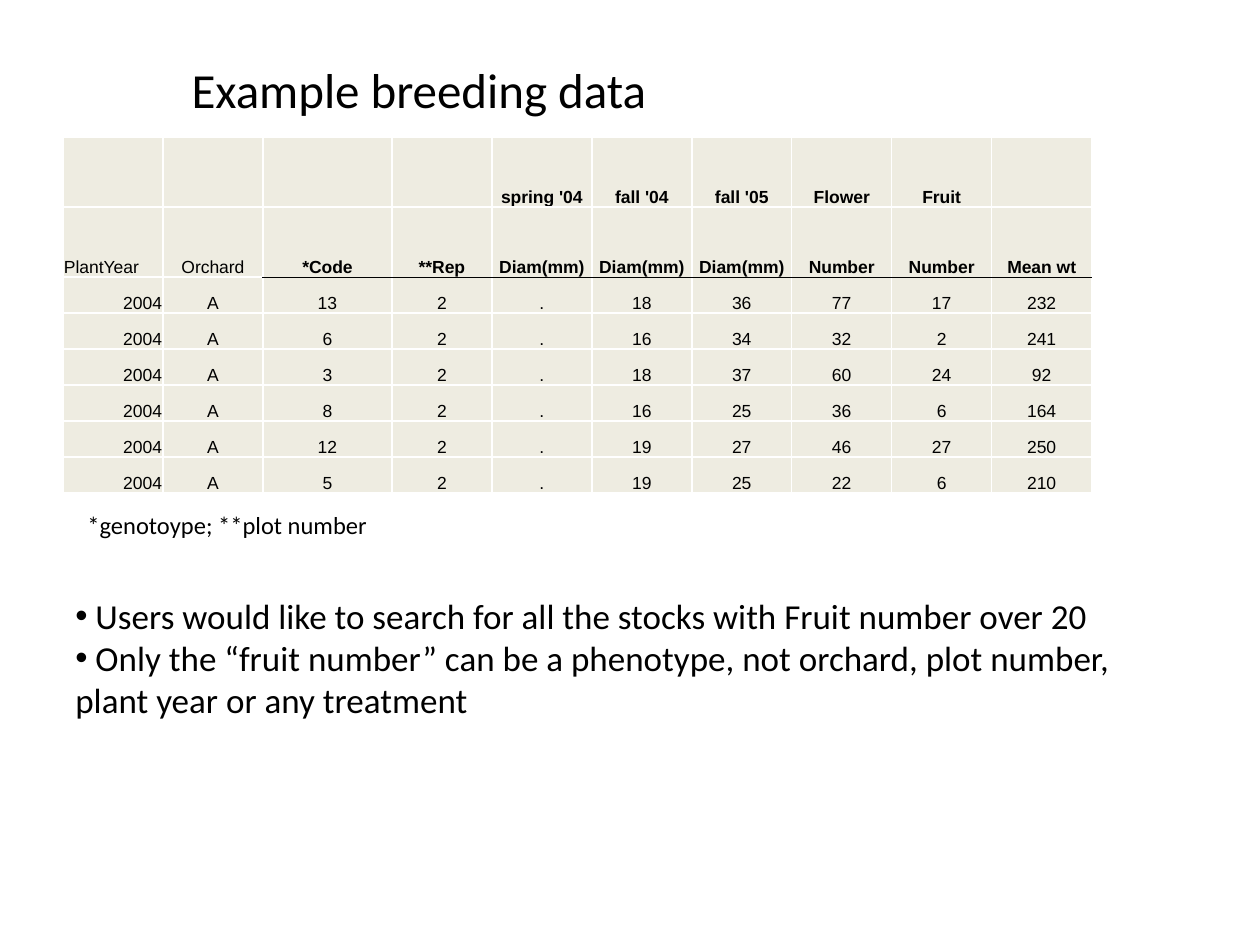
import pptx
import pptx.util
import pptx.dml.color
import pptx.enum.text
import pptx.oxml
import lxml.etree

SCALE = 914400 / 126
ALIGN = pptx.enum.text.PP_ALIGN
ANCHOR = pptx.enum.text.MSO_ANCHOR
BLACK = "000000"
SAND = "EEECE1"

HEADS = [
    ["", "", "", "", "spring '04", "fall '04", "fall '05", "Flower", "Fruit", ""],
    ["PlantYear", "Orchard", "*Code", "**Rep", "Diam(mm)", "Diam(mm)",
     "Diam(mm)", "Number", "Number", "Mean wt"],
]
PLANTS = [
    (13, 18, 36, 77, 17, 232),
    (6, 16, 34, 32, 2, 241),
    (3, 18, 37, 60, 24, 92),
    (8, 16, 25, 36, 6, 164),
    (12, 19, 27, 46, 27, 250),
    (5, 19, 25, 22, 6, 210),
]
POINTS = [
    " Users would like to search for all the stocks with Fruit number over 20",
    " Only the “fruit number” can be a phenotype, not orchard, plot number, "
    "plant year or any treatment",
]


def px(count):
    return round(count * SCALE)


def color(code):
    return pptx.dml.color.RGBColor.from_string(code)


def style(para, face, size, bold=False, align=ALIGN.LEFT):
    para.alignment = align
    para.font.name = face
    para.font.size = pptx.util.Pt(size)
    para.font.bold = bold
    para.font.color.rgb = color(BLACK)


def add_rule(cell, side):
    props = cell._tc.get_or_add_tcPr()
    line = pptx.oxml.parse_xml(
        f'<a:{side} xmlns:a="http://schemas.openxmlformats.org/drawingml/2006/main" '
        f'w="6350"><a:solidFill><a:srgbClr val="{BLACK}"/></a:solidFill></a:{side}>')
    props.insert(0, line)


def add_title(slide, left, top, width, height):
    title = slide.shapes.title
    title.left, title.top = px(left), px(top)
    title.width, title.height = px(width), px(height)
    frame = title.text_frame
    frame.text = "Example breeding data"
    frame.word_wrap = False
    frame.vertical_anchor = ANCHOR.TOP
    style(frame.paragraphs[0], "Calibri", 28)


def fill_cell(cell, text, bold, align):
    cell.text = text
    cell.fill.solid()
    cell.fill.fore_color.rgb = color(SAND)
    cell.vertical_anchor = ANCHOR.BOTTOM
    cell.margin_left = cell.margin_right = cell.margin_top = px(1)
    cell.margin_bottom = 0
    style(cell.text_frame.paragraphs[0], "Arial", 10, bold, align)


def add_data(slide, left, top, width, height):
    rows = HEADS + [["2004", "A", str(code), "2", ".", *map(str, rest)]
                    for code, *rest in PLANTS]
    frame = slide.shapes.add_table(
        len(rows), len(rows[0]), px(left), px(top), px(width), px(height))
    table = frame.table
    table.first_row = table.horz_banding = False
    for col, item in enumerate(table.columns):
        item.width = px(width - 900 if col == 2 else 100)
    for row, texts in enumerate(rows):
        table.rows[row].height = px((height - 216) // 2 if row < 2 else 36)
        for col, text in enumerate(texts):
            cell = table.cell(row, col)
            align = ALIGN.CENTER
            if col == 0:
                align = ALIGN.LEFT if row < 2 else ALIGN.RIGHT
            fill_cell(cell, text, row < 2 and col > 1, align)
            if col > 1 and row in (1, 2):
                add_rule(cell, "lnB" if row == 1 else "lnT")


def add_text(slide, left, top, width, height, lines, size, wrap, mark=None):
    box = slide.shapes.add_textbox(px(left), px(top), px(width), px(height))
    frame = box.text_frame
    frame.text = "\n".join(lines)
    frame.word_wrap = wrap
    for para in frame.paragraphs:
        style(para, "Calibri", size)
        if mark:
            props = para._p.get_or_add_pPr()
            font = pptx.oxml.parse_xml(
                '<a:buFont xmlns:a="http://schemas.openxmlformats.org/drawingml/2006/main" '
                'typeface="Arial"/>')
            sign = pptx.oxml.parse_xml(
                '<a:buChar xmlns:a="http://schemas.openxmlformats.org/drawingml/2006/main" '
                f'char="{mark}"/>')
            props.insert(0, font)
            props.insert(1, sign)


def main():
    deck = pptx.Presentation()
    deck.slide_width, deck.slide_height = px(1260), px(945)
    slide = deck.slides.add_slide(deck.slide_layouts[5])
    add_data(slide, 63, 137, 1029, 356)
    add_title(slide, 179, 53, 485, 72)
    add_text(slide, 63, 588, 1124, 183, POINTS, 20, True, "•")
    add_text(slide, 75, 504, 307, 43, ["*genotoype; **plot number"], 14, False)
    deck.save("out.pptx")


if __name__ == "__main__":
    main()
